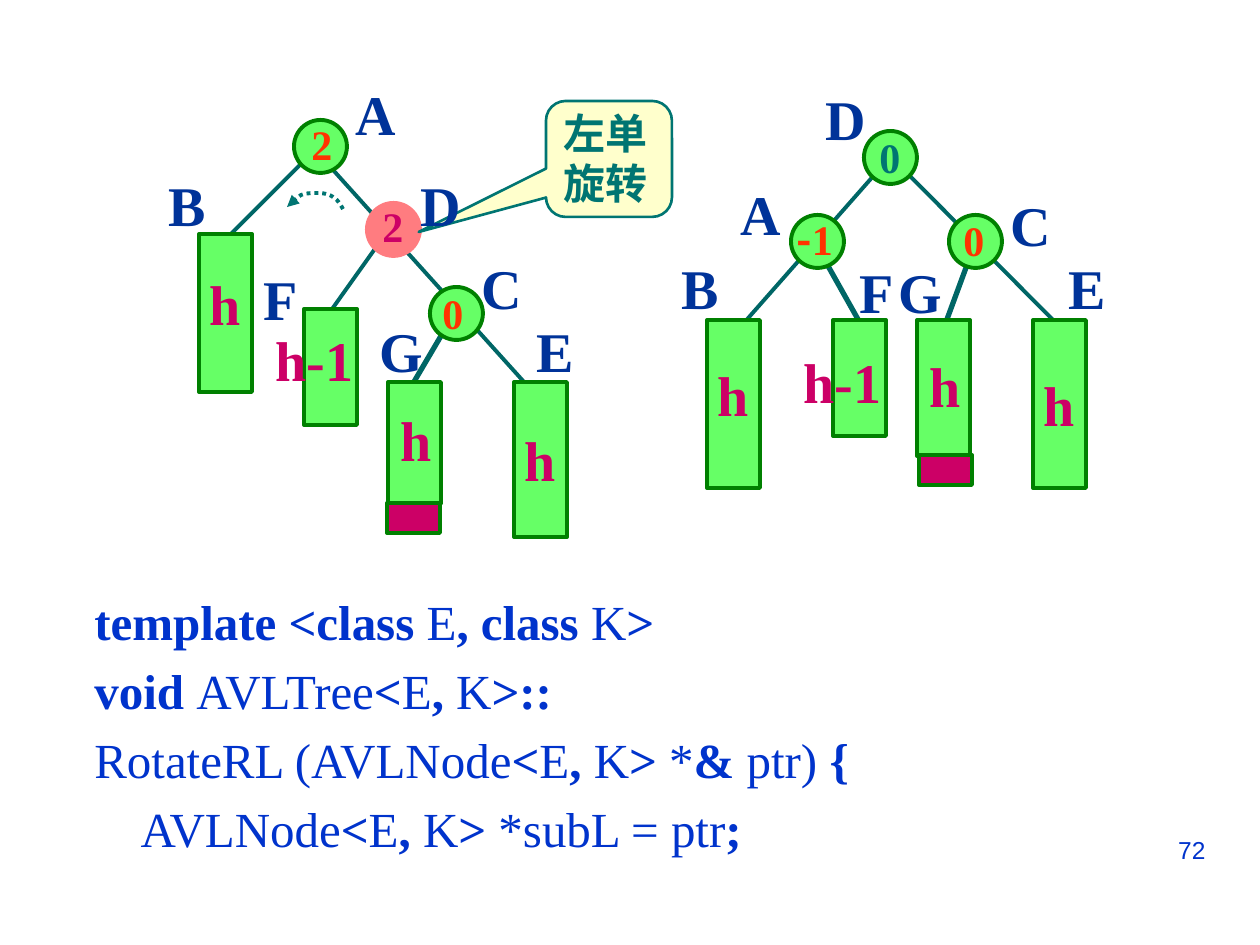
from lxml.etree import SubElement
from pptx import Presentation
from pptx.dml.color import RGBColor
from pptx.enum.dml import MSO_LINE
from pptx.enum.shapes import MSO_CONNECTOR, MSO_SHAPE as Shape
from pptx.enum.text import MSO_ANCHOR as Anchor, PP_ALIGN as Align
from pptx.oxml.ns import qn
from pptx.util import Pt

PX = 914400 / 126
SERIF, SANS, CJK = "Times New Roman", "Arial", "Noto Sans CJK SC"
GREEN, DARK_GREEN = RGBColor(0x66, 0xFF, 0x66), RGBColor(0x00, 0x80, 0x00)
TEAL, EDGE = RGBColor(0x00, 0x75, 0x72), RGBColor(0x00, 0x66, 0x66)
PINK, MAGENTA = RGBColor(0xFF, 0x7C, 0x80), RGBColor(0xCC, 0x00, 0x66)
RED, CREAM = RGBColor(0xFF, 0x33, 0x00), RGBColor(0xFF, 0xFF, 0xCC)
NAVY, BLUE = RGBColor(0x00, 0x33, 0x99), RGBColor(0x00, 0x33, 0xCC)

NODE = BAR_WIDTH = 53
NEW_NODE_HEIGHT = 30
LABEL_WIDTHS = {"A": 66, "B": 63, "C": 66, "D": 66, "E": 63, "F": 59, "G": 69}

# Trees before and after the rotation, in px
# edges: x1, y1, x2, y2, points; nodes: x, y, fill, line
# bars: x, y, height, text, line spacing; balances and heights: text, x, y, ...
TREES = [
    {
        "edges": [(451, 319, 408, 392, 3), (304, 161, 209, 256, 2.25),
                  (325, 161, 524, 382, 2.25), (377, 246, 325, 319, 2.25)],
        "nodes": [(367, 203, PINK, PINK), (294, 120, GREEN, DARK_GREEN),
                  (430, 287, GREEN, DARK_GREEN)],
        "bars": [(514, 382, 155, "h", 1), (199, 234, 158, "h", 0.6),
                 (388, 382, 122, "", 1), (304, 309, 116, "", 1)],
        "new_node": (387, 503),
        "labels": {"A": (343, 73), "B": (156, 164), "C": (469, 247),
                   "D": (408, 164), "E": (524, 310), "F": (251, 258),
                   "G": (367, 310)},
        "balances": [("0", 430, 281, 47, RED), ("2", 299, 112, 47, RED),
                     ("2", 370, 194, 47, MAGENTA)],
        "heights": [("h-1", 263, 319, 103), ("h", 388, 399, 57)],
    },
    {
        "edges": [(970, 257, 939, 341, 3), (907, 173, 1053, 320, 2.25),
                  (876, 173, 728, 341, 2.25), (823, 257, 864, 330, 3)],
        "nodes": [(791, 215, GREEN, DARK_GREEN), (864, 131, GREEN, DARK_GREEN),
                  (949, 215, GREEN, DARK_GREEN)],
        "bars": [(1033, 320, 168, "h", 1), (707, 320, 168, "h", 0.6),
                 (917, 320, 136, "", 1), (833, 320, 116, "", 1)],
        "new_node": (919, 455),
        "labels": {"A": (728, 173), "B": (669, 247), "C": (998, 184),
                   "D": (813, 78), "E": (1056, 247), "F": (847, 251),
                   "G": (886, 251)},
        "balances": [("0", 951, 208, 47, RED), ("0", 867, 125, 47, TEAL),
                     ("-1", 784, 207, 67, RED)],
        "heights": [("h-1", 791, 341, 103), ("h", 917, 345, 57)],
    },
]

# Start point, then two control points and an end point per curve
ARC_START = (343, 209)
ARC_CURVES = [((340, 204), (338, 200), (333, 197)),
              ((329, 194), (323, 193), (318, 193)),
              ((312, 193), (306, 193), (301, 195)),
              ((296, 198), (290, 205), (287, 207))]

# Code lines as pieces that are bold and regular in turn
CODE = [
    ["template <class ", "E", ", class ", "K", ">"],
    ["void ", "AVLTree", "<", "E", ", ", "K", ">::"],
    ["", "RotateRL (AVLNode", "<", "E", ", ", "K", "> ", "*", "& ", "ptr)", " {"],
    ["", "    AVLNode", "<", "E", ", ", "K", "> ", "*subL = ptr", ";"],
]


def px(*lengths):
    return [round(length * PX) for length in lengths]


def add_run(paragraph, text, size, color, bold=True, name=SERIF):
    run = paragraph.add_run()
    run.text = text
    formats = {"size": Pt(size), "bold": bold, "name": name}
    for key, value in formats.items():
        setattr(run.font, key, value)
    run.font.color.rgb = color
    SubElement(run.font._element, qn("a:ea"), typeface=CJK)


def add_text(box, lines, size, color, wrap=False, **run_format):
    textbox = slide.shapes.add_textbox(*px(*box))
    frame = textbox.text_frame
    frame.word_wrap = wrap
    for index, line in enumerate(lines):
        paragraph = frame.paragraphs[0] if index == 0 else frame.add_paragraph()
        add_run(paragraph, line, size, color, **run_format)
    return frame


def add_shape(kind, box, fill, line, width=2.25):
    shape = slide.shapes.add_shape(kind, *px(*box))
    shape.shadow.inherit = False
    shape.fill.solid()
    shape.fill.fore_color.rgb = fill
    shape.line.color.rgb = line
    shape.line.width = Pt(width)
    return shape


def curve_points(start, curves, steps=6):
    for first, second, end in curves:
        for step in range(1, steps + 1):
            t = step / steps
            weights = ((1 - t) ** 3, 3 * t * (1 - t) ** 2, 3 * t * t * (1 - t), t ** 3)
            corners = (start, first, second, end)
            yield tuple(sum(w * corner[axis] for w, corner in zip(weights, corners))
                        for axis in (0, 1))
        start = end


def draw_tree(tree):
    for *ends, width in tree["edges"]:
        edge = slide.shapes.add_connector(MSO_CONNECTOR.STRAIGHT, *px(*ends))
        edge.line.color.rgb = EDGE
        edge.line.width = Pt(width)
        SubElement(edge._element.spPr, qn("a:effectLst"))
    for x, y, fill, line in tree["nodes"]:
        add_shape(Shape.OVAL, (x, y, NODE, NODE), fill, line)
    for x, y, height, text, spacing in tree["bars"]:
        bar = add_shape(Shape.RECTANGLE, (x, y, BAR_WIDTH, height), GREEN, DARK_GREEN)
        if text:
            frame = bar.text_frame
            frame.word_wrap = False
            frame.vertical_anchor = Anchor.MIDDLE
            paragraph = frame.paragraphs[0]
            paragraph.alignment = Align.CENTER
            paragraph.line_spacing = spacing
            add_run(paragraph, text, 32, MAGENTA)
    add_shape(Shape.RECTANGLE, (*tree["new_node"], BAR_WIDTH, NEW_NODE_HEIGHT),
              MAGENTA, DARK_GREEN)


def label_tree(tree):
    for letter, (x, y) in tree["labels"].items():
        add_text((x, y, LABEL_WIDTHS[letter], 79), [letter], 32, NAVY)
    for text, x, y, width, color in tree["balances"]:
        if text.startswith("-"):
            frame = add_text((x, y, width, 63), ["-"], 24, color, name=CJK)
            add_run(frame.paragraphs[0], text[1:], 24, color)
        else:
            add_text((x, y, width, 63), [text], 24, color)
    for text, x, y, width in tree["heights"]:
        add_text((x, y, width, 79), [text], 32, MAGENTA)


presentation = Presentation()
presentation.slide_width, presentation.slide_height = px(1260, 945)
slide = presentation.slides.add_slide(presentation.slide_layouts[6])

for tree in TREES:
    draw_tree(tree)

# Callout naming the rotation
callout = add_shape(Shape.ROUNDED_RECTANGULAR_CALLOUT, (546, 101, 126, 116),
                    CREAM, TEAL, 1.5)
for index, value in enumerate((-1.51, 0.63, 0.17)):
    callout.adjustments[index] = value
add_text((551, 101, 126, 113), ["左单", "旋转"], 24, TEAL, wrap=True)

for tree in TREES:
    label_tree(tree)

# Dotted arc showing the turn
builder = slide.shapes.build_freeform(*px(*ARC_START))
builder.add_line_segments([px(*point) for point in curve_points(ARC_START, ARC_CURVES)],
                          close=False)
arc = builder.convert_to_shape()
arc.shadow.inherit = False
arc.fill.background()
arc.line.color.rgb = TEAL
arc.line.width = Pt(2.25)
arc.line.dash_style = MSO_LINE.ROUND_DOT
SubElement(arc.line._get_or_add_ln(), qn("a:tailEnd"), type="triangle")

# Code
code = slide.shapes.add_textbox(*px(82, 582, 1134, 313)).text_frame
code.word_wrap = True
for row, pieces in enumerate(CODE):
    paragraph = code.add_paragraph() if row else code.paragraphs[0]
    paragraph.line_spacing = 1.05
    paragraph.space_before = Pt(4.3 if row else 0)
    for index, piece in enumerate(pieces):
        if piece:
            add_run(paragraph, piece, 28, BLUE, bold=index % 2 == 0)

# Page number
number = add_text((903, 829, 315, 66), ["72"], 14, BLUE, wrap=True, bold=False, name=SANS)
number.paragraphs[0].alignment = Align.RIGHT

presentation.save("out.pptx")
